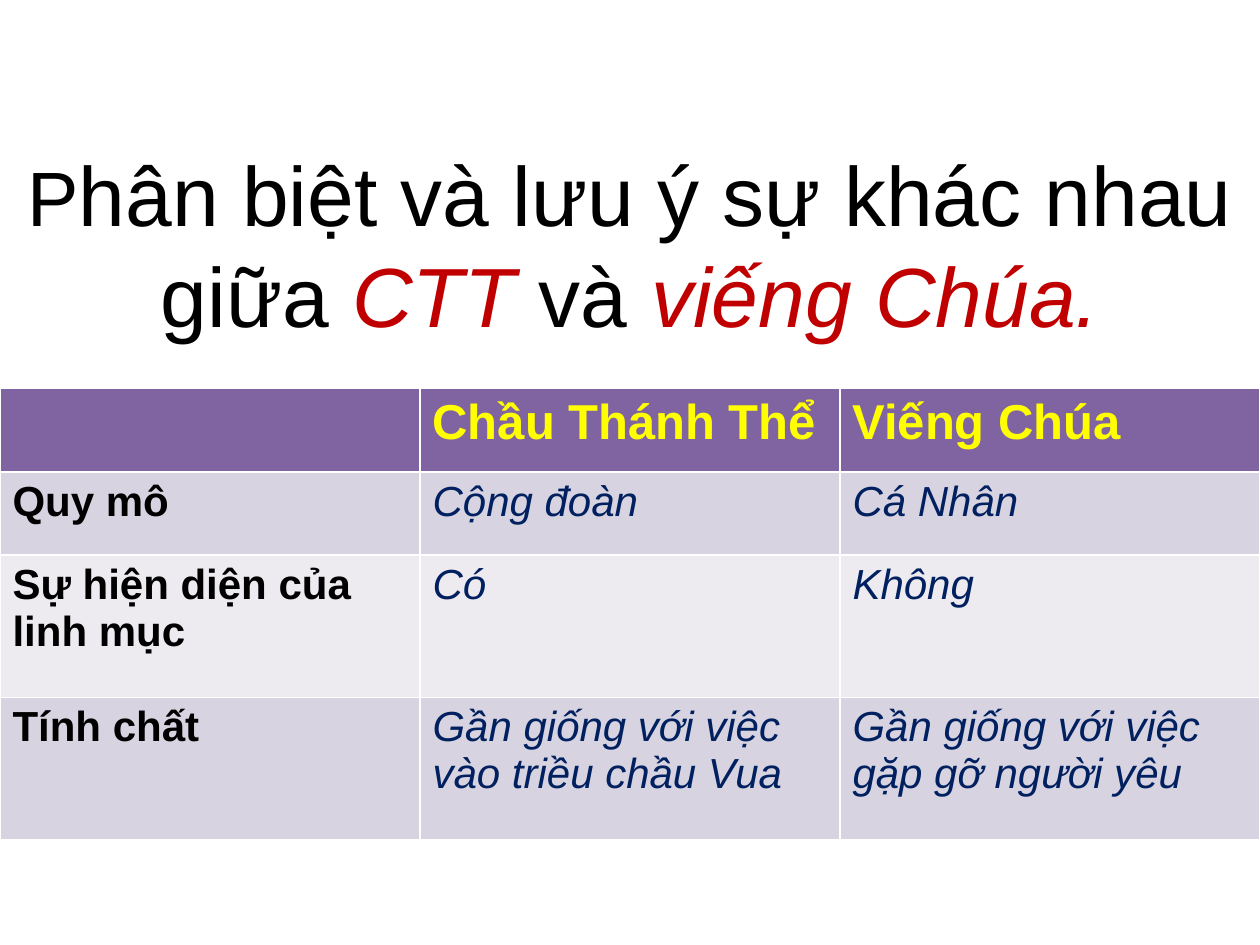
"""Build a slide that compares Chầu Thánh Thể with Viếng Chúa in a table."""
from typing import NamedTuple

from pptx import Presentation
from pptx import util as u
from pptx.dml.color import RGBColor
from pptx.enum import text

FONT = "Arial"
BLACK = RGBColor(0x00, 0x00, 0x00)
RED = RGBColor(0xC0, 0x00, 0x00)
YELLOW = RGBColor(0xFF, 0xFF, 0x00)
NAVY = RGBColor(0x00, 0x20, 0x60)
PURPLE = RGBColor(0x80, 0x64, 0xA2)
BAND_DARK = RGBColor(0xD8, 0xD3, 0xE0)
BAND_LIGHT = RGBColor(0xED, 0xEA, 0xF0)


class TextStyle(NamedTuple):
    size: int
    color: RGBColor
    bold: bool = False
    italic: bool = False


class Row(NamedTuple):
    height: float
    fill: RGBColor
    texts: tuple[str, str, str]


HEADER = TextStyle(28, YELLOW, bold=True)
LABEL = TextStyle(24, BLACK, bold=True)
VALUE = TextStyle(24, NAVY, italic=True)
PLAIN = TextStyle(48, BLACK)
ACCENT = TextStyle(48, RED, italic=True)

TITLE = [
    ("P", TextStyle(44, BLACK)),
    ("hân biệt và lưu ý sự khác nhau giữa ", PLAIN),
    ("CTT ", ACCENT),
    ("và ", PLAIN),
    ("viếng Chúa.", ACCENT),
]
ROWS = [
    Row(1.68, PURPLE, ("", "Chầu Thánh Thể", "Viếng Chúa")),
    Row(1.68, BAND_DARK, ("Quy mô", "Cộng đoàn", "Cá Nhân")),
    Row(2.87, BAND_LIGHT, ("Sự hiện diện của linh mục", "Có", "Không")),
    Row(2.87, BAND_DARK, ("Tính chất", "Gần giống với việc vào triều chầu Vua",
                          "Gần giống với việc gặp gỡ người yêu")),
]


def style_font(font, style: TextStyle) -> None:
    font.name = FONT
    font.size = u.Pt(style.size)
    font.bold = style.bold
    font.italic = style.italic
    font.color.rgb = style.color


def draw_title(s, width: int, height: int) -> None:
    sp = s.shapes.title
    sp.left, sp.top, sp.width, sp.height = 0, 0, width, height
    tf = sp.text_frame
    tf.word_wrap = True
    tf.auto_size = text.MSO_AUTO_SIZE.NONE
    tf.vertical_anchor = text.MSO_ANCHOR.MIDDLE
    tf.margin_bottom = u.Cm(9.37)
    p = tf.paragraphs[0]
    p.alignment = text.PP_ALIGN.CENTER
    for words, style in TITLE:
        r = p.add_run()
        r.text = words
        style_font(r.font, style)


def draw_table(s, top: int, width: int, rows: list[Row]) -> None:
    height = u.Cm(sum(row.height for row in rows))
    table = s.shapes.add_table(len(rows), 3, 0, top, width, height).table
    for i, row in enumerate(rows):
        table.rows[i].height = u.Cm(row.height)
        for j, words in enumerate(row.texts):
            cell = table.cell(i, j)
            cell.fill.solid()
            cell.fill.fore_color.rgb = row.fill
            cell.text = words
            style = HEADER if i == 0 else LABEL if j == 0 else VALUE
            style_font(cell.text_frame.paragraphs[0].font, style)


def main() -> None:
    prs = Presentation()
    prs.slide_width, prs.slide_height = u.Cm(25.4), u.Cm(19.05)
    s = prs.slides.add_slide(prs.slide_layouts[5])
    draw_title(s, prs.slide_width, prs.slide_height)
    draw_table(s, u.Cm(7.83), prs.slide_width, ROWS)
    prs.save("out.pptx")


if __name__ == "__main__":
    main()
